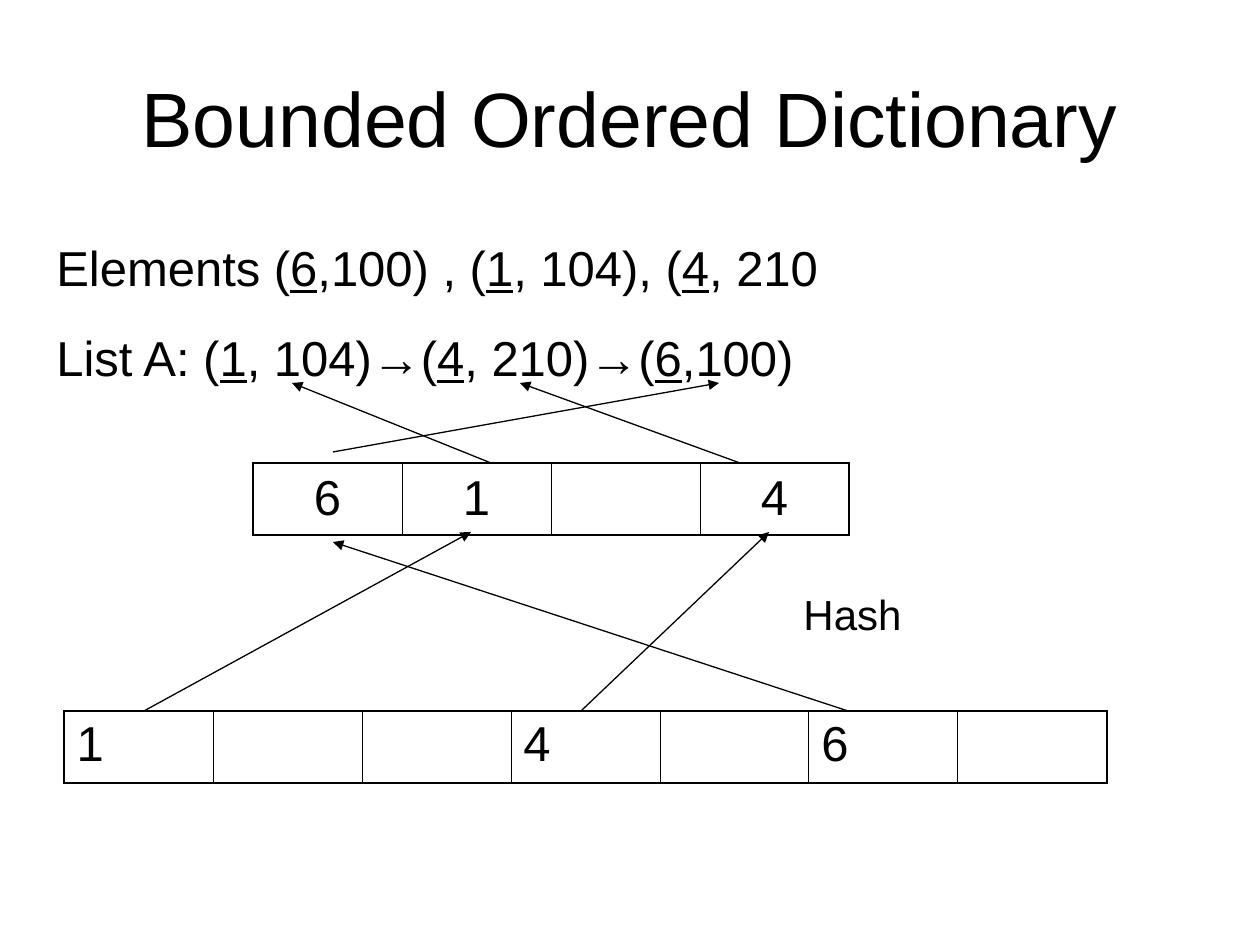
"""Build the bounded ordered dictionary slide: a list, an index array and a hash array."""
from lxml.etree import SubElement
from pptx import Presentation
from pptx.dml.color import RGBColor
from pptx.enum.shapes import MSO_CONNECTOR
from pptx.enum.text import MSO_ANCHOR as ANCHOR, PP_ALIGN as ALIGN
from pptx.oxml import parse_xml
from pptx.oxml.ns import nsdecls, qn
from pptx.util import Pt

PX = 914400 / 126
BLACK = RGBColor(0, 0, 0)
CELL_WIDTH, CELL_HEIGHT = 149, 72
THIN, THICK = Pt(0.45), Pt(1.08)


def px(*lengths):
    return [round(length * PX) for length in lengths]


def write(frame, text, size=28, align=ALIGN.LEFT, anchor=ANCHOR.TOP):
    frame.word_wrap = True
    frame.vertical_anchor = anchor
    para = frame.paragraphs[0]
    para.alignment = align
    for index, piece in enumerate(text.split("_")):
        span = para.add_run()
        span.text = piece
        span.font.name = "Arial"
        span.font.size = Pt(size)
        span.font.color.rgb = BLACK
        span.font.underline = index % 2 == 1


deck = Presentation()
deck.slide_width, deck.slide_height = px(1260, 945)
page = deck.slides.add_slide(deck.slide_layouts[6])

texts = [
    ((63, 38, 1134, 158), "Bounded Ordered Dictionary",
     dict(size=44, align=ALIGN.CENTER, anchor=ANCHOR.MIDDLE)),
    ((44, 321, 1113, 83), "List A: (_1_, 104)→(_4_, 210)→(_6_,100)", {}),
    ((44, 231, 1160, 83), "Elements (_6_,100) , (_1_, 104), (_4_, 210", {}),
    ((791, 582, 218, 58), "Hash", dict(size=24)),
]
for bounds, text, style in texts:
    box = page.shapes.add_textbox(*px(*bounds))
    write(box.text_frame, text, **style)

arrays = [
    (64, 711, ["1", "", "", "4", "", "6", ""], ALIGN.LEFT, ANCHOR.TOP),
    (253, 463, ["6", "1", "", "4"], ALIGN.CENTER, ANCHOR.MIDDLE),
]
for left, top, values, align, anchor in arrays:
    count = len(values)
    bounds = px(left, top, count * CELL_WIDTH, CELL_HEIGHT)
    table = page.shapes.add_table(1, count, *bounds).table
    table.first_row = table.horz_banding = False
    for column, value in enumerate(values):
        table.columns[column].width = px(CELL_WIDTH)[0]
        cell = table.cell(0, column)
        cell.fill.background()
        if value:
            write(cell.text_frame, value, align=align)
        cell.vertical_anchor = anchor
        widths = {
            "L": THICK if column == 0 else THIN,
            "R": THICK if column == count - 1 else THIN,
            "T": THICK,
            "B": THICK,
        }
        properties = cell._tc.get_or_add_tcPr()
        for index, (side, width) in enumerate(widths.items()):
            border = parse_xml(
                f'<a:ln{side} {nsdecls("a")} w="{width}"><a:solidFill>'
                f'<a:srgbClr val="{BLACK}"/></a:solidFill></a:ln{side}>')
            properties.insert(index, border)

arrows = [
    (333, 452, 719, 383),
    (491, 463, 292, 383),
    (740, 463, 520, 383),
    (144, 711, 471, 532),
    (581, 711, 769, 532),
    (848, 711, 333, 542),
]
for ends in arrows:
    arrow = page.shapes.add_connector(MSO_CONNECTOR.STRAIGHT, *px(*ends))
    arrow.line.color.rgb = BLACK
    arrow.line.width = Pt(0.75)
    SubElement(arrow.line._get_or_add_ln(), qn("a:tailEnd"), type="triangle")
    SubElement(arrow._element.spPr, qn("a:effectLst"))

deck.save("out.pptx")
